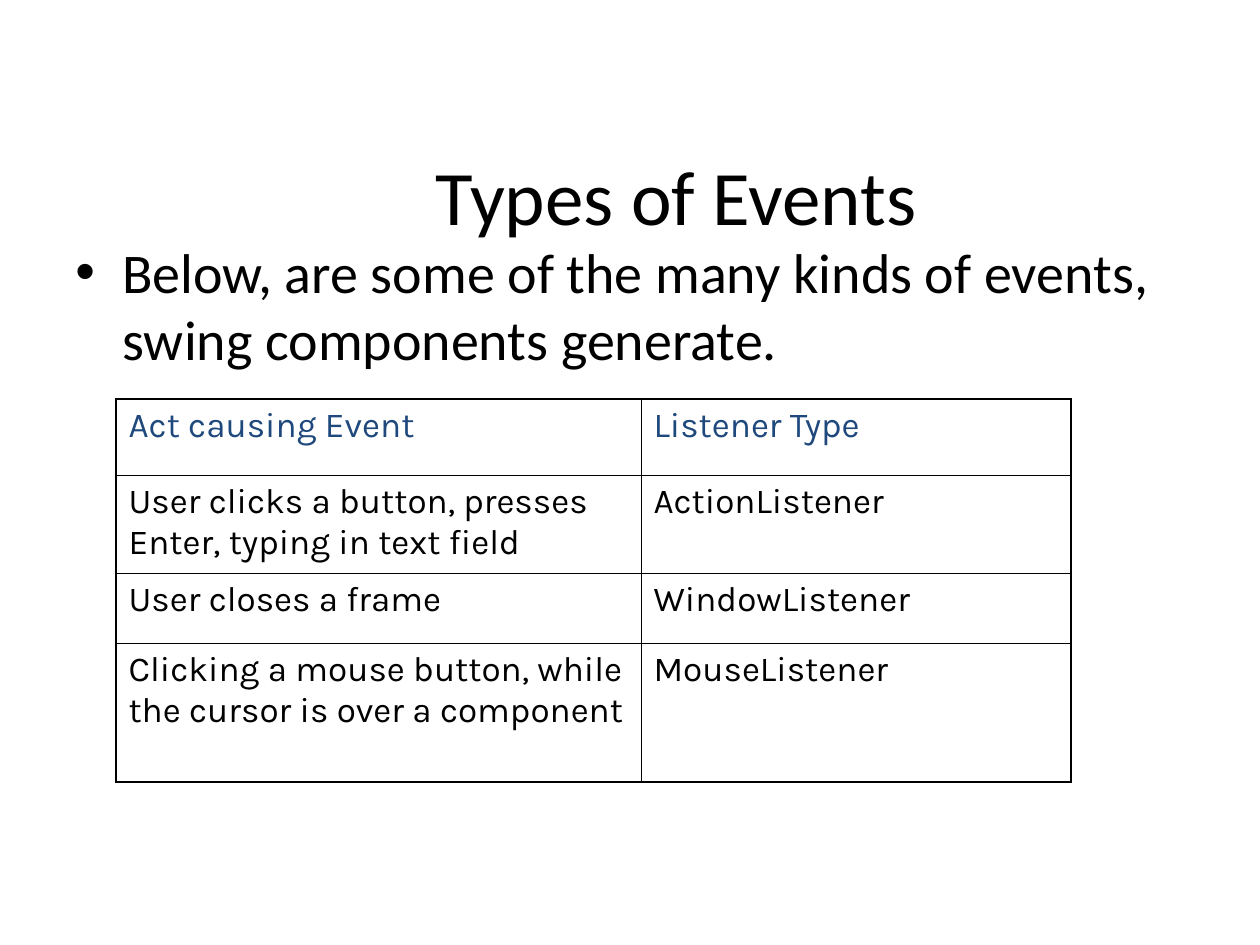
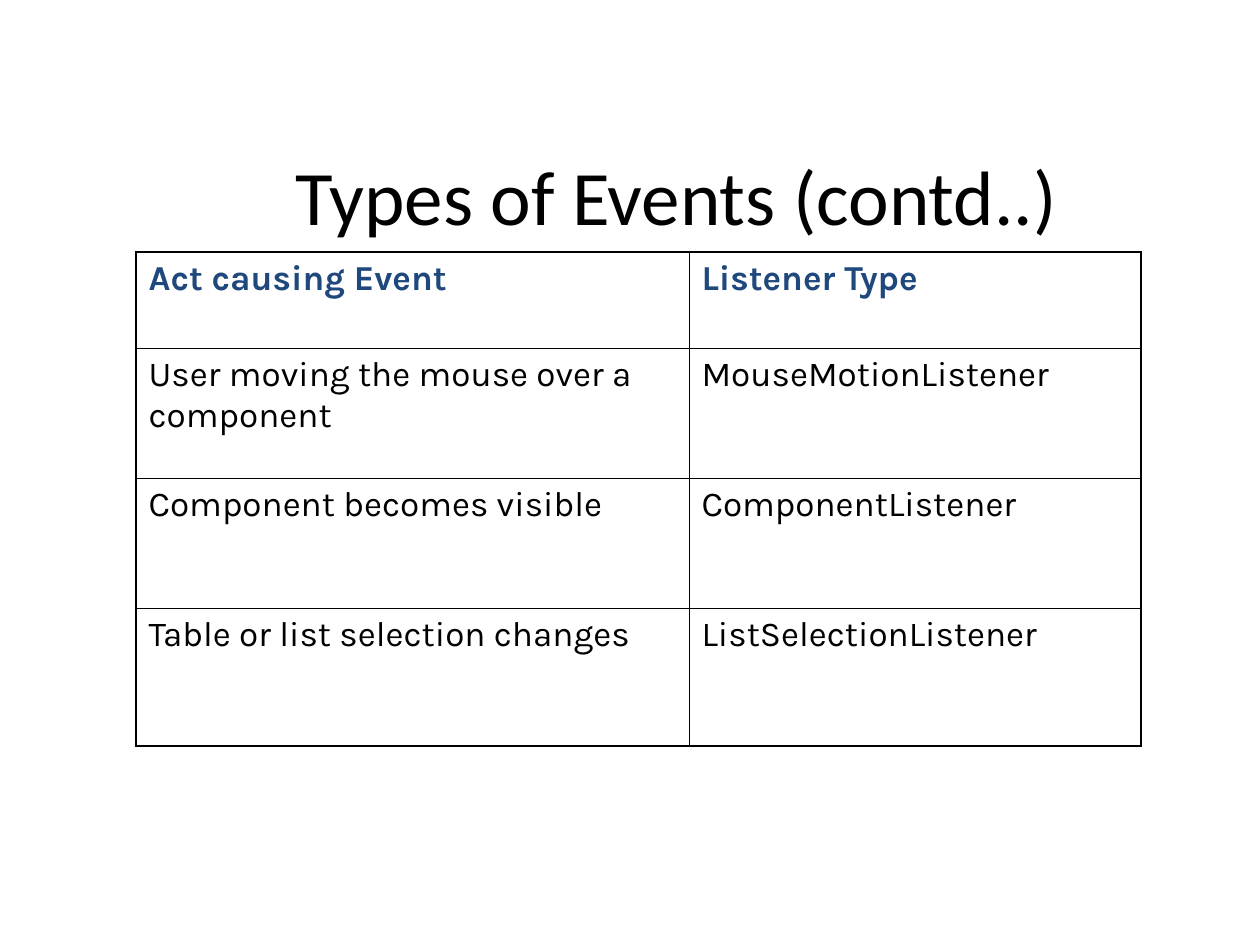
from lxml.etree import SubElement
from pptx import Presentation
from pptx.dml.color import RGBColor
from pptx.enum.text import MSO_ANCHOR, PP_ALIGN
from pptx.oxml.ns import qn
from pptx.util import Pt

PX = 914400 / 126
BLACK = RGBColor(0x00, 0x00, 0x00)
NAVY = RGBColor(0x1F, 0x49, 0x7D)
TITLE_BOX = (141, 126, 1071, 137)
BODY_BOX = (63, 231, 1113, 567)
BULLET_INDENT = 47
OUTER_LINE, INNER_LINE = Pt(1.08), Pt(0.45)
HEADER = ("Act causing Event", "Listener Type")

SLIDES = [
    dict(
        title="Types of Events",
        body="Below, are some of the many kinds of events, swing components generate.",
        corner=(116, 399), columns=(525, 430), heights=(76, 98, 70, 139), bold_header=False,
        events=[
            ("User clicks a button, presses Enter, typing in text field", "ActionListener"),
            ("User closes a frame", "WindowListener"),
            ("Clicking a mouse button, while the cursor is over a component", "MouseListener"),
        ],
    ),
    dict(
        title="Types of Events (contd..)",
        body=None,
        corner=(136, 252), columns=(553, 452), heights=(96, 130, 130, 138), bold_header=True,
        events=[
            ("User moving the mouse over a component", "MouseMotionListener"),
            ("Component becomes visible", "ComponentListener"),
            ("Table or list selection changes", "ListSelectionListener"),
        ],
    ),
]


def emu(*lengths):
    return [round(length * PX) for length in lengths]


def write(frame, text, size, font="Calibri", color=BLACK, bold=False,
          align=PP_ALIGN.LEFT, before=0, bullet=False):
    frame.word_wrap = True
    paragraph = frame.paragraphs[0]
    paragraph.alignment = align
    paragraph.space_before = Pt(before)
    run = paragraph.add_run()
    run.text = text
    run.font.size = Pt(size)
    run.font.name = font
    run.font.bold = bold
    run.font.color.rgb = color
    if bullet:
        properties = paragraph._p.get_or_add_pPr()
        indent, = emu(BULLET_INDENT)
        properties.set("marL", str(indent))
        properties.set("indent", str(-indent))
        SubElement(properties, qn("a:buFont"), typeface="Arial")
        SubElement(properties, qn("a:buChar"), char="•")


presentation = Presentation()
presentation.slide_width, presentation.slide_height = emu(1260, 945)

for content in SLIDES:
    slide = presentation.slides.add_slide(presentation.slide_layouts[6])
    title = slide.shapes.add_textbox(*emu(*TITLE_BOX)).text_frame
    title.vertical_anchor = MSO_ANCHOR.MIDDLE
    write(title, content["title"], 44, align=PP_ALIGN.CENTER)
    if content["body"]:
        body = slide.shapes.add_textbox(*emu(*BODY_BOX)).text_frame
        write(body, content["body"], 32, before=8, bullet=True)

    rows = [HEADER, *content["events"]]
    columns, heights = content["columns"], content["heights"]
    last_row, last_column = len(rows) - 1, len(columns) - 1
    table = slide.shapes.add_table(
        len(rows), len(columns), *emu(*content["corner"], sum(columns), sum(heights))).table
    table.first_row = table.horz_banding = False
    for column, width in zip(table.columns, emu(*columns)):
        column.width = width
    for row, height in zip(table.rows, emu(*heights)):
        row.height = height

    for row_index, texts in enumerate(rows):
        is_header = row_index == 0
        for column_index, text in enumerate(texts):
            cell = table.cell(row_index, column_index)
            write(cell.text_frame, text, 20, font="Karla", before=5,
                  color=NAVY if is_header else BLACK,
                  bold=is_header and content["bold_header"])
            outer_sides = {
                "a:lnL": column_index == 0,
                "a:lnR": column_index == last_column,
                "a:lnT": is_header,
                "a:lnB": row_index == last_row,
            }
            cell_properties = cell._tc.get_or_add_tcPr()
            for side, is_outer in outer_sides.items():
                border = SubElement(cell_properties, qn(side),
                                    w=str(OUTER_LINE if is_outer else INNER_LINE))
                fill = SubElement(border, qn("a:solidFill"))
                SubElement(fill, qn("a:srgbClr"), val=str(BLACK))
            cell.fill.background()

presentation.save("out.pptx")
